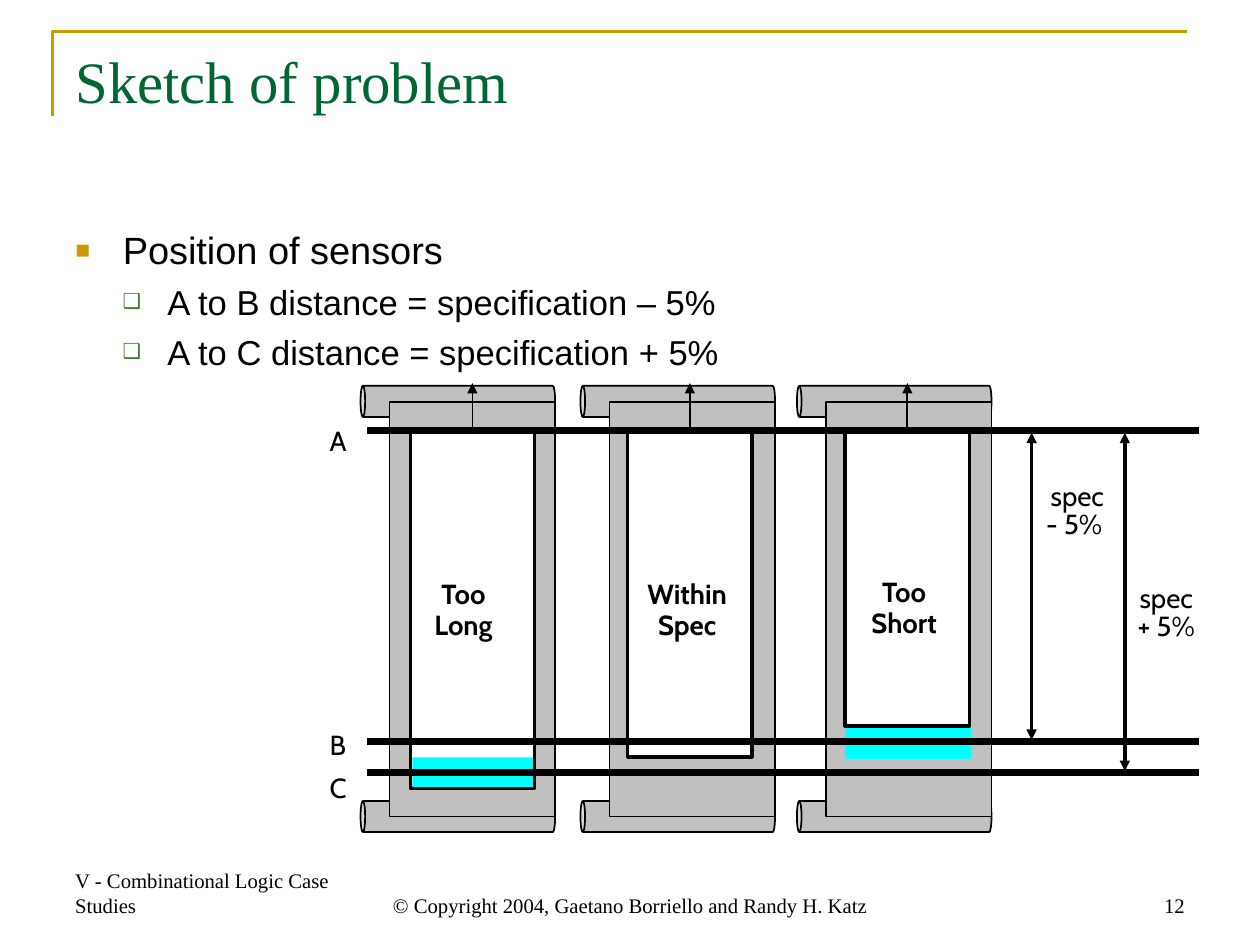
from lxml.etree import SubElement
from pptx import Presentation
from pptx.dml.color import RGBColor
from pptx.enum.shapes import MSO_CONNECTOR as Connector, MSO_SHAPE as Preset
from pptx.enum.text import MSO_ANCHOR as Anchor, MSO_AUTO_SIZE as AutoSize, PP_ALIGN as Align
from pptx.oxml.ns import qn
from pptx.util import Pt

COLORS = {
    "black": "000000", "white": "FFFFFF", "gray": "C0C0C0", "cyan": "00FFFF",
    "gold": "CC9900", "title": "006633", "green": "3B812F",
}
SERIF, SANS, LABEL = "Times New Roman", "Arial", "Cabin"


def rgb(name):
    return RGBColor.from_string(COLORS[name])


class SlideBuilder:
    def __init__(self, slide):
        self.slide = slide
        self.shapes = slide.shapes

    def place(self, shape, left, top, width, height):
        shape.left, shape.top = Pt(left), Pt(top)
        shape.width, shape.height = Pt(width), Pt(height)

    def frame(self, shape, anchor=Anchor.TOP, wrap=True, inset=(7.2, 3.6)):
        text_frame = shape.text_frame
        text_frame.auto_size = AutoSize.NONE
        text_frame.word_wrap = wrap
        text_frame.vertical_anchor = anchor
        text_frame.margin_left = text_frame.margin_right = Pt(inset[0])
        text_frame.margin_top = text_frame.margin_bottom = Pt(inset[1])
        return text_frame

    def format_runs(self, paragraph, size, font, color="black", bold=False):
        for run in paragraph.runs:
            run.font.size, run.font.name = Pt(size), font
            run.font.bold = bold
            run.font.color.rgb = rgb(color)

    def title(self, text, box):
        shape = self.shapes.title
        self.place(shape, *box)
        text_frame = self.frame(shape)
        text_frame.text = text
        paragraph = text_frame.paragraphs[0]
        paragraph.alignment = Align.LEFT
        self.format_runs(paragraph, 34, SERIF, "title")

    def bullet(self, paragraph, char, color, percent, left, hanging):
        properties = paragraph._p.get_or_add_pPr()
        properties.set("marL", str(Pt(left)))
        properties.set("indent", str(-Pt(hanging)))
        bullet_color = SubElement(properties, qn("a:buClr"))
        SubElement(bullet_color, qn("a:srgbClr"), val=COLORS[color])
        SubElement(properties, qn("a:buSzPct"), val=str(percent * 1000))
        SubElement(properties, qn("a:buFont"), typeface=SANS)
        SubElement(properties, qn("a:buChar"), char=char)

    def body(self, items, box):
        """Fill the body placeholder with (level, text) items."""
        shape = self.slide.placeholders[1]
        self.place(shape, *box)
        text_frame = self.frame(shape)
        text_frame.text = "\n".join(text for _, text in items)
        styles = [("■", "gold", 65, 27.4, 27.4), ("❑", "green", 60, 53.3, 25.9)]
        for index, (level, _) in enumerate(items):
            paragraph = text_frame.paragraphs[index]
            paragraph.level = level
            self.bullet(paragraph, *styles[level])
            paragraph.space_before = Pt(5 if index else 0)
            self.format_runs(paragraph, 20 if level else 22, SANS)

    def text(self, text, box, align, size, font, spacing=None, bold=False, **frame_options):
        shape = self.shapes.add_textbox(*map(Pt, box))
        text_frame = self.frame(shape, **frame_options)
        text_frame.text = text
        paragraph = text_frame.paragraphs[0]
        paragraph.alignment = align
        if spacing:
            paragraph.line_spacing = Pt(spacing)
        self.format_runs(paragraph, size, font, bold=bold)

    def label(self, text, box, align=Align.CENTER, spacing=16, bold=False):
        self.text(text, box, align, 16, LABEL, spacing, bold, wrap=False, inset=(1.4, 2.2))

    def footer(self, text, left, width, align):
        self.text(text, (left, 498.4, width, 36.7), align, 12, SERIF, anchor=Anchor.BOTTOM)

    def shape(self, preset, box, fill, line_width=0):
        shape = self.shapes.add_shape(preset, *map(Pt, box))
        shape.shadow.inherit = False
        shape.fill.solid()
        shape.fill.fore_color.rgb = rgb(fill)
        if line_width:
            shape.line.color.rgb = rgb("black")
            shape.line.width = Pt(line_width)
        else:
            shape.line.fill.background()
        return shape

    def line(self, start, end, width, arrows=()):
        """Draw a line; arrows may hold "headEnd" and "tailEnd", in that order."""
        connector = self.shapes.add_connector(Connector.STRAIGHT, *map(Pt, start + end))
        connector.line.color.rgb = rgb("black")
        connector.line.width = Pt(width)
        properties = connector.element.spPr
        for arrow in arrows:
            SubElement(properties.find(qn("a:ln")), qn(f"a:{arrow}"), type="triangle")
        SubElement(properties, qn("a:effectLst"))

    def corner_rule(self, points):
        start, *others = [(Pt(x), Pt(y)) for x, y in points]
        builder = self.shapes.build_freeform(*start, scale=1.0)
        builder.add_line_segments(others, close=False)
        rule = builder.convert_to_shape()
        rule.shadow.inherit = False
        rule.fill.background()
        rule.line.color.rgb = rgb("gold")
        rule.line.width = Pt(1.5)

    def conveyor(self, left):
        """Draw a belt with a roller at each end."""
        for top in (176.2, 416.7):
            roller = self.shape(Preset.CAN, (left + 30.6, top, 18, 112.7), "gray", 1)
            roller.adjustments[0] = 0.148
            roller.rotation = 270
        self.shape(Preset.RECTANGLE, (left, 233, 96, 240), "gray", 1)

    def rod(self, left, height):
        self.line((left + 36, 250), (left + 36, 222), 1, ["tailEnd"])
        self.shape(Preset.RECTANGLE, (left, 249.5, 72, height), "white", 2)


def main():
    presentation = Presentation()
    presentation.slide_width, presentation.slide_height = Pt(730), Pt(547.5)
    slide = presentation.slides.add_slide(presentation.slide_layouts[1])
    builder = SlideBuilder(slide)

    builder.corner_rule([(30.5, 67), (30.5, 18.3), (687.5, 18.3)])
    builder.title("Sketch of problem", (36.5, 22.4, 657, 90.7))
    builder.body([
        (0, "Position of sensors"),
        (1, "A to B distance = specification – 5%"),
        (1, "A to C distance = specification + 5%"),
    ], (36.5, 127.8, 657, 361.4))

    for left in (225.7, 353.1, 478.5):
        builder.conveyor(left)

    builder.shape(Preset.RECTANGLE, (489.8, 421, 72.7, 18.7), "cyan")
    rod_labels = [
        ("Too\vLong", (252, 333, 33.1, 46.8)),
        ("Within\vSpec", (378.7, 333, 38.9, 46.8)),
        ("Too\vShort", (506.2, 332.3, 35.3, 46.8)),
    ]
    for index, (text, box) in enumerate(rod_labels):
        builder.rod(237.7 + 126 * index, 207 - 18 * index)
        builder.label(text, box, spacing=18, bold=True)
    builder.shape(Preset.RECTANGLE, (239, 438.8, 69.8, 17.3), "cyan")

    sensors = [("A", 249.5, 246.6), ("B", 429.5, 423), ("C", 447.5, 447.5)]
    for name, height, label_top in sensors:
        builder.label(name, (189.6, label_top, 18, 25.9), Align.LEFT)
        builder.line((212.5, height), (694.8, height), 4)

    distances = [
        ("spec\v- 5% ", (602.6, 278.6, 43.2, 41.8), 597.7, 428.7),
        ("spec\v+ 5%", (651.6, 337.7, 48.2, 41.8), 651.7, 446.7),
    ]
    for text, box, x, bottom in distances:
        builder.label(text, box)
        builder.line((x, 250.7), (x, bottom), 2, ["headEnd", "tailEnd"])

    builder.footer("© Copyright 2004, Gaetano Borriello and Randy H. Katz", 213.3, 303.8, Align.CENTER)
    builder.footer("12", 523.2, 170.3, Align.RIGHT)
    builder.footer("V - Combinational Logic Case Studies", 36.5, 170.3, Align.LEFT)
    presentation.save("out.pptx")


if __name__ == "__main__":
    main()
